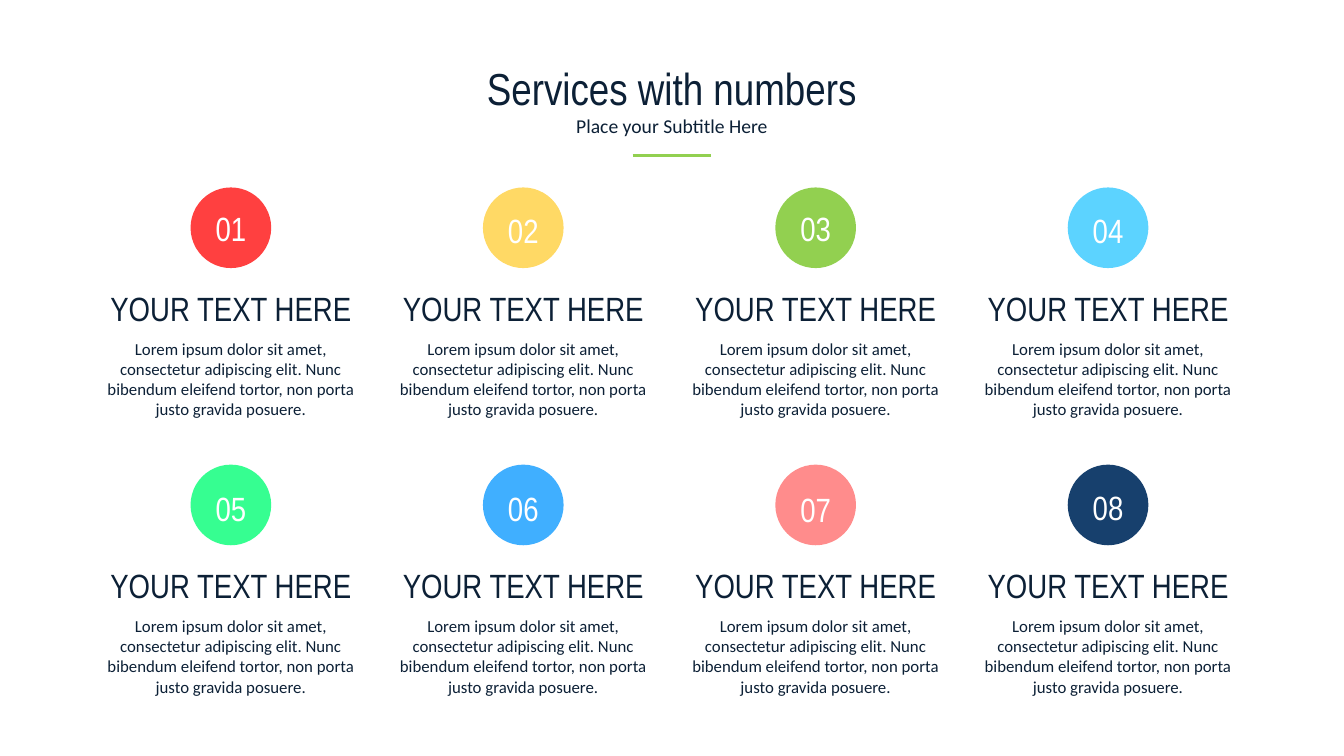
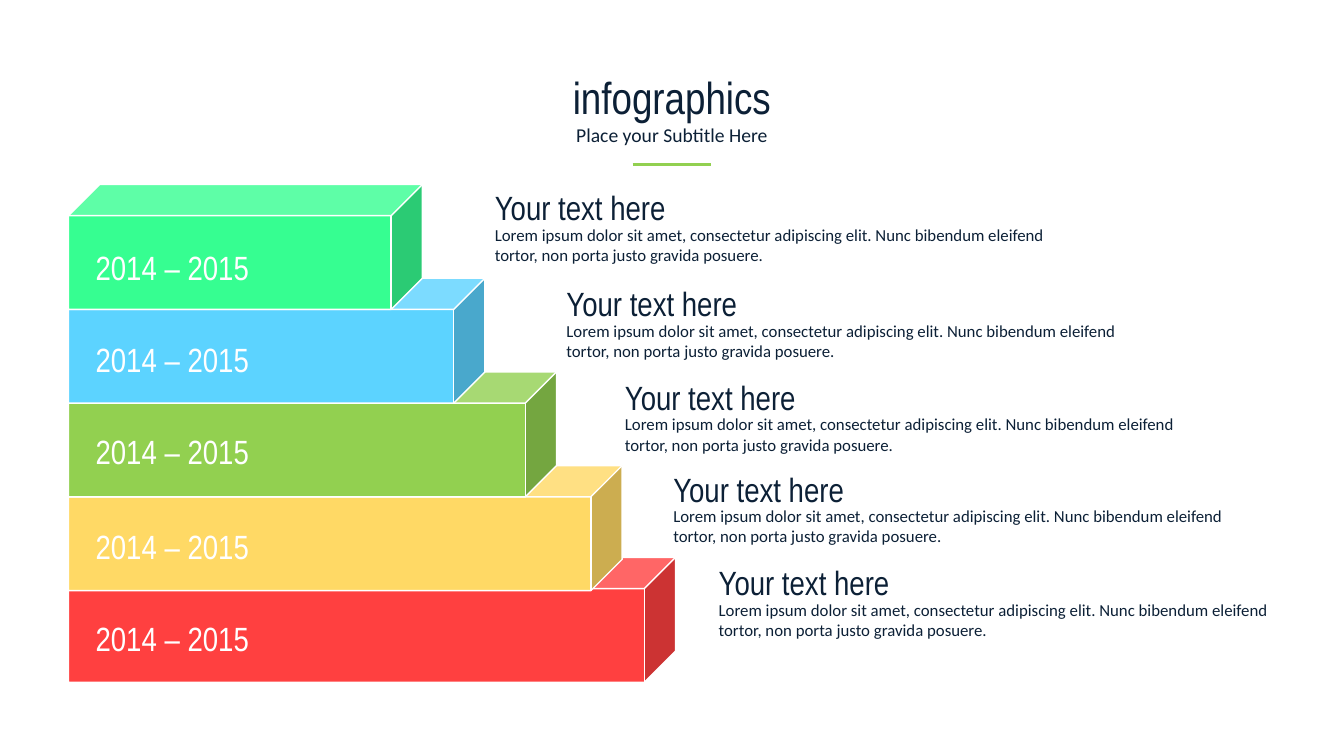
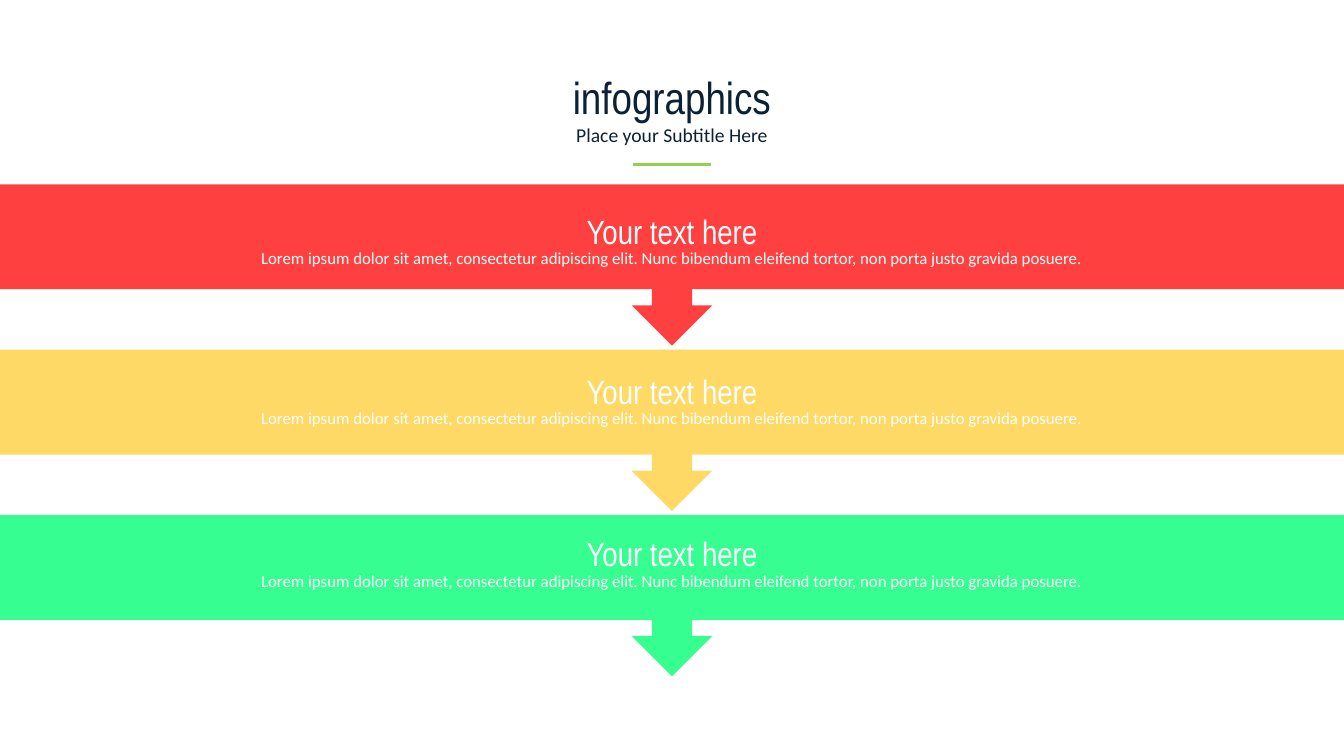
from dataclasses import dataclass

from lxml.etree import SubElement
from pptx import Presentation
from pptx.dml.color import RGBColor
from pptx.enum.shapes import MSO_CONNECTOR, MSO_SHAPE
from pptx.enum.text import MSO_AUTO_SIZE, PP_ALIGN
from pptx.oxml.ns import qn
from pptx.util import Inches, Pt

SLIDE_WIDTH, SLIDE_HEIGHT = 13.33, 7.5

NAVY = RGBColor(0x0C, 0x20, 0x36)
WHITE = RGBColor(0xFF, 0xFF, 0xFF)
RED = RGBColor(0xFF, 0x40, 0x40)
YELLOW = RGBColor(0xFF, 0xD9, 0x65)
GREEN = RGBColor(0x92, 0xD0, 0x50)
SKY = RGBColor(0x5C, 0xD3, 0xFF)
MINT = RGBColor(0x36, 0xFE, 0x91)
BLUE = RGBColor(0x40, 0xAF, 0xFF)
PINK = RGBColor(0xFF, 0x8C, 0x8C)
DEEP_BLUE = RGBColor(0x17, 0x40, 0x6D)

TITLE = {"name": "Arial Narrow", "size": Pt(32)}
SUBTITLE = {"name": "Calibri", "size": Pt(14)}
HEADING = {"name": "Arial Narrow", "size": Pt(24)}
BODY = {"name": "Calibri", "size": Pt(12)}

HEADING_HEIGHT = 0.5
LOREM = ("Lorem ipsum dolor sit amet, consectetur adipiscing elit. "
         "Nunc bibendum eleifend tortor, non porta justo gravida posuere.")


@dataclass(frozen=True)
class Box:
    left: float
    top: float
    width: float
    height: float

    def lengths(self) -> tuple:
        return tuple(Inches(value) for value in (self.left, self.top, self.width, self.height))


@dataclass(frozen=True)
class Service:
    number: str
    color: RGBColor
    number_drop: float


@dataclass(frozen=True)
class Step:
    color: RGBColor
    top: float
    width: float
    years_top: float
    text_left: float
    text_top: float


@dataclass(frozen=True)
class Band:
    color: RGBColor
    text_top: float


SERVICES = (
    Service("01", RED, 0.15), Service("02", YELLOW, 0.17),
    Service("03", GREEN, 0.15), Service("04", SKY, 0.17),
    Service("05", MINT, 0.18), Service("06", BLUE, 0.18),
    Service("07", PINK, 0.19), Service("08", DEEP_BLUE, 0.17),
)
STEPS = (
    Step(RED, 5.53, 6.02, 6.08, 7.03, 5.53),
    Step(YELLOW, 4.62, 5.49, 5.17, 6.58, 4.6),
    Step(GREEN, 3.69, 4.84, 4.23, 6.1, 3.69),
    Step(SKY, 2.76, 4.13, 3.31, 5.52, 2.76),
    Step(MINT, 1.83, 3.51, 2.4, 4.81, 1.81),
)
BANDS = (Band(RED, 2.04), Band(YELLOW, 3.63), Band(MINT, 5.24))


def add_text(shapes, box: Box, text: str, style: dict, color: RGBColor = NAVY,
             align: PP_ALIGN = PP_ALIGN.CENTER) -> None:
    frame = shapes.add_textbox(*box.lengths()).text_frame
    frame.word_wrap = True
    frame.auto_size = MSO_AUTO_SIZE.SHAPE_TO_FIT_TEXT
    para = frame.paragraphs[0]
    para.alignment = align
    span = para.add_run()
    span.text = text
    for name, value in style.items():
        setattr(span.font, name, value)
    span.font.color.rgb = color


def add_filled(shapes, kind: MSO_SHAPE, box: Box, color: RGBColor,
               outline: RGBColor | None = None) -> None:
    shape = shapes.add_shape(kind, *box.lengths())
    shape.shadow.inherit = False
    shape.fill.solid()
    shape.fill.fore_color.rgb = color
    if outline is None:
        shape.line.fill.background()
    else:
        shape.line.color.rgb = outline
        shape.line.width = Pt(1)


def add_page(deck, title: str, top: float):
    """Add a blank slide with the shared title, subtitle and green rule."""
    page = deck.slides.add_slide(deck.slide_layouts[6])
    shapes = page.shapes.add_group_shape().shapes
    add_text(shapes, Box(0, top, SLIDE_WIDTH, 0.64), title, TITLE)
    add_text(shapes, Box(0.68, top + 0.53, SLIDE_WIDTH - 2 * 0.68, 0.34),
             "Place your Subtitle Here", SUBTITLE)
    middle, half, rule_top = SLIDE_WIDTH / 2, 0.39, Inches(top + 0.99)
    rule = shapes.add_connector(MSO_CONNECTOR.STRAIGHT, Inches(middle - half), rule_top,
                                Inches(middle + half), rule_top)
    rule.line.color.rgb = GREEN
    rule.line.width = Pt(2)
    SubElement(rule.line._get_or_add_ln().getparent(), qn("a:effectLst"))
    return page


def build_services(deck) -> None:
    columns, column_width, row_height = 4, 2.9, 2.75
    circle, number_width = 0.8, 0.64
    first_left, first_top = 0.84, 1.86
    shapes = add_page(deck, "Services with numbers", 0.55).shapes
    for index, service in enumerate(SERVICES):
        row, column = divmod(index, columns)
        left = first_left + column * column_width
        top = first_top + row * row_height
        add_text(shapes, Box(left, top + 1.45, column_width, 0.91), LOREM, BODY)
        add_text(shapes, Box(left, top + 0.95, column_width, HEADING_HEIGHT),
                 "YOUR TEXT HERE", HEADING)
        add_filled(shapes, MSO_SHAPE.OVAL,
                   Box(left + (column_width - circle) / 2, top, circle, circle), service.color)
        add_text(shapes, Box(left + (column_width - number_width) / 2, top + service.number_drop,
                             number_width, HEADING_HEIGHT), service.number, HEADING, WHITE)


def build_steps(deck) -> None:
    shapes = add_page(deck, "infographics", 0.64).shapes
    for step in STEPS:
        add_filled(shapes, MSO_SHAPE.CUBE, Box(0.68, step.top, step.width, 1.24),
                   step.color, WHITE)
    for step in STEPS:
        add_text(shapes, Box(step.text_left, step.text_top + 0.37, 5.76, 0.5),
                 LOREM, BODY, align=PP_ALIGN.LEFT)
        add_text(shapes, Box(step.text_left, step.text_top, 3.17, HEADING_HEIGHT),
                 "Your text here", HEADING, align=PP_ALIGN.LEFT)
        add_text(shapes, Box(0.85, step.years_top, 3.17, HEADING_HEIGHT),
                 "2014 – 2015", HEADING, WHITE, PP_ALIGN.LEFT)


def build_bands(deck) -> None:
    first_top, pitch, height = 1.83, 1.64, 1.6
    shapes = add_page(deck, "infographics", 0.64).shapes
    for index, band in enumerate(BANDS):
        add_filled(shapes, MSO_SHAPE.DOWN_ARROW_CALLOUT,
                   Box(0, first_top + index * pitch, SLIDE_WIDTH, height), band.color)
        add_text(shapes, Box(0, band.text_top + 0.37, SLIDE_WIDTH, 0.3), LOREM, BODY, WHITE)
        add_text(shapes, Box(0, band.text_top, SLIDE_WIDTH, HEADING_HEIGHT),
                 "Your text here", HEADING, WHITE)


def main() -> None:
    deck = Presentation()
    deck.slide_width, deck.slide_height = Inches(SLIDE_WIDTH), Inches(SLIDE_HEIGHT)
    for build in (build_services, build_steps, build_bands):
        build(deck)
    deck.save("out.pptx")


if __name__ == "__main__":
    main()
